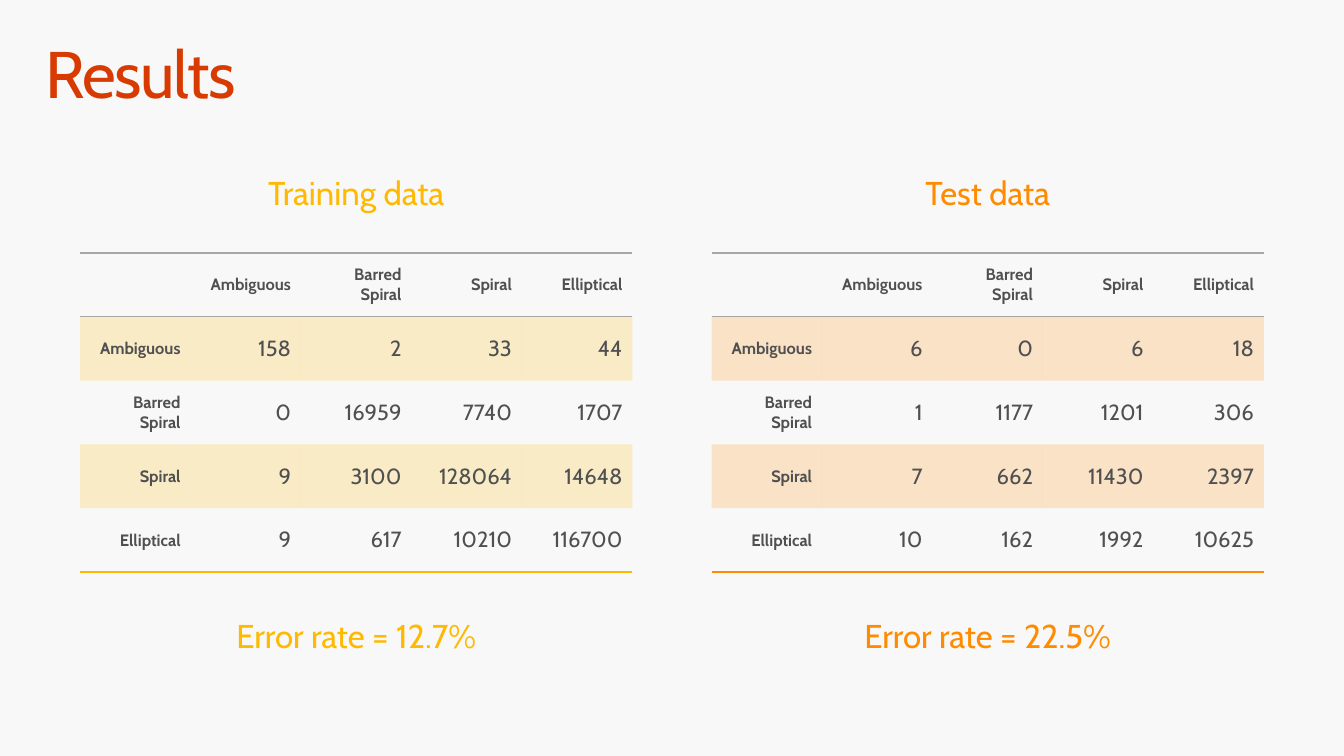
import pptx
import pptx.util
import pptx.dml.color
import pptx.enum.text
from lxml import etree
from pptx.oxml.ns import qn

Inches, Pt = pptx.util.Inches, pptx.util.Pt
Align = pptx.enum.text.PP_ALIGN
Anchor = pptx.enum.text.MSO_ANCHOR
Fit = pptx.enum.text.MSO_AUTO_SIZE

# Content
TITLE = "Results"
KINDS = ["Ambiguous", "Barred Spiral", "Spiral", "Elliptical"]
PANELS = [
    dict(name="Training data", rate="Error rate = 12.7%", hue="FFB900",
         left=0.81, wide=2.33,
         counts=[[158, 2, 33, 44],
                 [0, 16959, 7740, 1707],
                 [9, 3100, 128064, 14648],
                 [9, 617, 10210, 116700]]),
    dict(name="Test data", rate="Error rate = 22.5%", hue="FF8C00",
         left=7.2, wide=1.73,
         counts=[[6, 0, 6, 18],
                 [1, 1177, 1201, 306],
                 [7, 662, 11430, 2397],
                 [10, 162, 1992, 10625]]),
]
FONT, INK, RULE = "Cabin", "505050", "A6A6A6"
TOP, WIDTH, HEIGHT = 2.56, 5.59, 3.23
NO_GRID = "{2D5ABB26-0587-4C30-8999-92F81FD0307C}"


def color(code):
    return pptx.dml.color.RGBColor.from_string(code)


def style(para, size, code, bold=False):
    for font in [para.font] + [run.font for run in para.runs]:
        font.name, font.size, font.bold = FONT, Pt(size), bold
        font.color.rgb = color(code)


def label(text, box, size, code, pad, align, wrap=True):
    shape = slide.shapes.add_textbox(*[Inches(v) for v in box])
    frame = shape.text_frame
    frame.text = text
    frame.word_wrap = wrap
    frame.margin_left = frame.margin_right = Inches(pad[0])
    frame.margin_top = frame.margin_bottom = Inches(pad[1])
    para = frame.paragraphs[0]
    para.alignment, para.line_spacing = align, 0.9
    style(para, size, code)
    return frame


def border(cell, sides):
    """Draw the given sides, a dict of tag to colour, and clear the rest."""
    props = cell._tc.get_or_add_tcPr()
    for spot, tag in enumerate(["a:lnL", "a:lnR", "a:lnT", "a:lnB"]):
        line = etree.Element(qn(tag), w=str(Pt(1)))
        if tag in sides:
            fill = etree.SubElement(line, qn("a:solidFill"))
            etree.SubElement(fill, qn("a:srgbClr"), val=sides[tag])
        else:
            etree.SubElement(line, qn("a:noFill"))
        props.insert(spot, line)


def tint(cell, code):
    cell.fill.solid()
    cell.fill.fore_color.rgb = color(code)
    tone = cell._tc.tcPr.find(".//" + qn("a:srgbClr"))
    etree.SubElement(tone, qn("a:alpha"), val="20000")


def matrix(panel):
    rows = [[""] + KINDS]
    rows += [[kind] + row for kind, row in zip(KINDS, panel["counts"])]
    size = len(rows)
    shape = slide.shapes.add_table(
        size, size, Inches(panel["left"]), Inches(TOP),
        Inches(WIDTH), Inches(HEIGHT))
    table = shape.table
    table.horz_banding = True
    table._tbl.tblPr.find(qn("a:tableStyleId")).text = NO_GRID
    for r, row in enumerate(rows):
        for c, value in enumerate(row):
            cell = table.cell(r, c)
            cell.text = str(value)
            cell.vertical_anchor = Anchor.MIDDLE
            para = cell.text_frame.paragraphs[0]
            para.alignment = Align.RIGHT
            head = r == 0 or c == 0
            style(para, 12 if head else 16, INK, head)
            if r % 2:
                tint(cell, panel["hue"])
            else:
                cell.fill.background()
            sides = {}
            if r == 0:
                sides = {"a:lnT": RULE, "a:lnB": RULE}
            elif r == 1:
                sides = {"a:lnT": RULE}
            elif r == size - 1:
                sides = {"a:lnB": panel["hue"]}
            border(cell, sides)


# Slide
deck = pptx.Presentation()
deck.slide_width, deck.slide_height = Inches(13.6), Inches(7.65)
slide = deck.slides.add_slide(deck.slide_layouts[6])
slide.background.fill.solid()
slide.background.fill.fore_color.rgb = color("F8F8F8")

# Title
frame = label(TITLE, (0.3, 0.32, 13, 1), 48, "D83B01", (0.16, 0.1), Align.LEFT)
frame.paragraphs[0].runs[0].font._element.set("spc", "-100")

# Panels: heading, table and error rate on one centre line
for panel in PANELS:
    matrix(panel)
    mid = panel["left"] + WIDTH / 2
    for text, top, wide, wrap in [(panel["name"], 1.63, panel["wide"], False),
                                  (panel["rate"], 6.11, 3.07, True)]:
        frame = label(text, (mid - wide / 2, top, wide, 0.69), 24,
                      panel["hue"], (0.2, 0.16), Align.CENTER, wrap)
        frame.auto_size = Fit.SHAPE_TO_FIT_TEXT
        frame.paragraphs[0].space_after = Pt(6)

deck.save("out.pptx")
